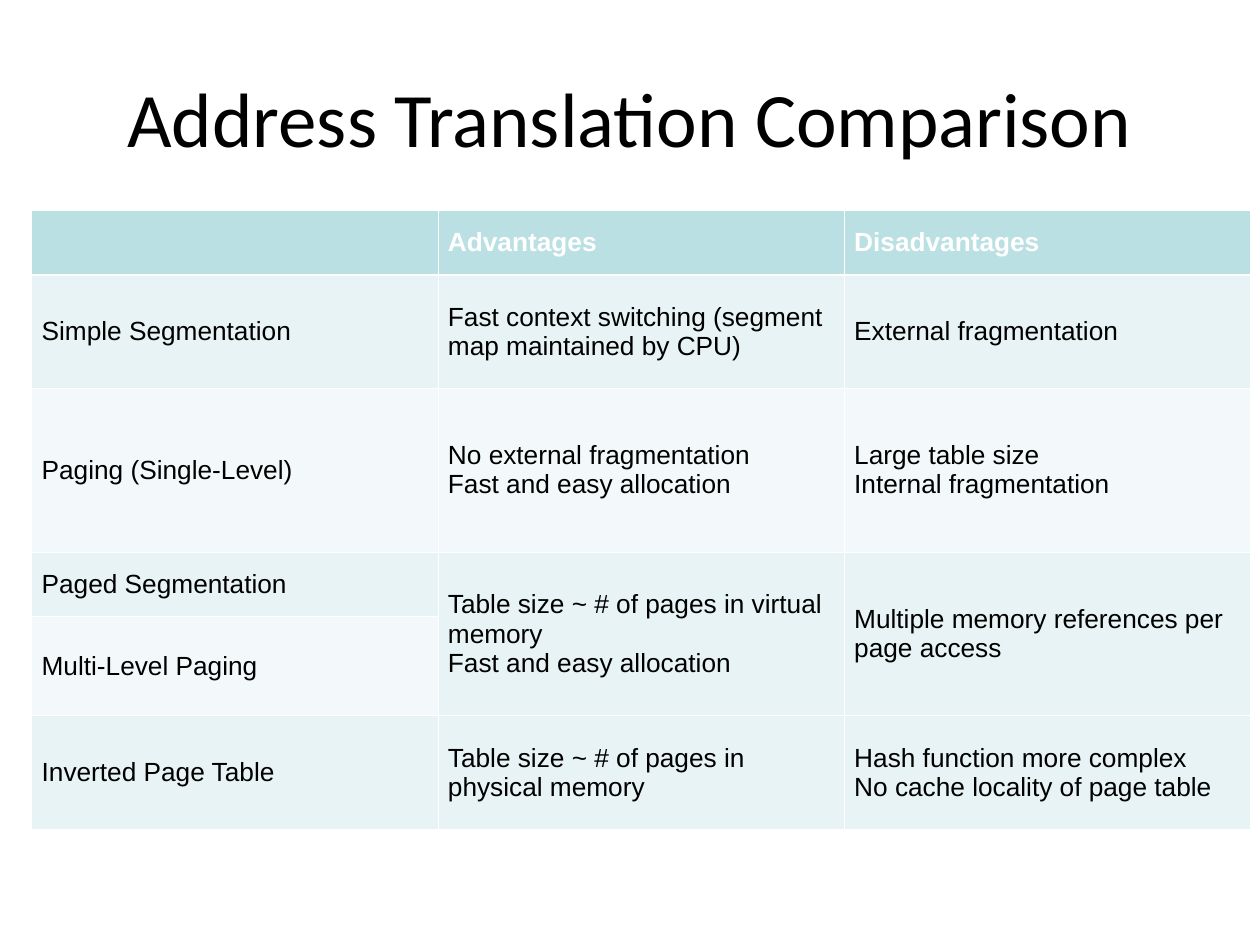
from dataclasses import dataclass

from lxml import etree
from pptx import Presentation
from pptx.dml.color import RGBColor
from pptx.enum.text import MSO_ANCHOR, PP_ALIGN
from pptx.oxml.ns import qn
from pptx.util import Cm, Pt

MIDDLE = MSO_ANCHOR.MIDDLE
CENTER = PP_ALIGN.CENTER


@dataclass(frozen=True)
class Theme:
    title_font: str = "Calibri"
    body_font: str = "Arial"
    title_size: float = 44
    body_size: float = 15
    text: str = "000000"
    white: str = "FFFFFF"
    header: str = "BBE0E3"
    bands: tuple[str, str] = ("E7F3F4", "F3F9FA")
    thin: float = 0.45
    thick: float = 1.47


@dataclass(frozen=True)
class Row:
    height: float
    texts: tuple[str, str, str]
    span: int = 1  # rows covered by the last two columns


THEME = Theme()
COLUMN_WIDTH = 8.19

# \n starts a paragraph, \v breaks a line
ROWS = [
    Row(1.3, ("", "Advantages", "Disadvantages")),
    Row(2.29, ("Simple Segmentation",
               "Fast context switching (segment map maintained by CPU)",
               "External fragmentation")),
    Row(3.3, ("Paging (Single-Level)",
              "No external fragmentation\nFast and easy allocation",
              "Large table size\nInternal fragmentation")),
    Row(1.3, ("Paged Segmentation",
              "Table size ~ # of pages in virtual memory\vFast and easy allocation",
              "Multiple memory references per page access"), span=2),
    Row(2.0, ("Multi-Level Paging", "", "")),
    Row(2.29, ("Inverted Page Table",
               "Table size ~ # of pages in physical memory",
               "Hash function more complex\nNo cache locality of page table")),
]


def format_text(tf, font: str, size: float, color: str, bold: bool = False) -> None:
    for p in tf.paragraphs:
        for r in p.runs:
            r.font.name = font
            r.font.size = Pt(size)
            r.font.bold = bold
            r.font.color.rgb = RGBColor.from_string(color)


def add_borders(cell, row: int) -> None:
    """Draw white cell edges, thick between the header and the body."""
    widths = {
        "a:lnL": THEME.thin,
        "a:lnR": THEME.thin,
        "a:lnT": THEME.thick if row == 1 else THEME.thin,
        "a:lnB": THEME.thick if row == 0 else THEME.thin,
    }
    tc_pr = cell._tc.get_or_add_tcPr()
    for tag, width in widths.items():
        ln = etree.SubElement(tc_pr, qn(tag), w=str(Pt(width)))
        fill = etree.SubElement(ln, qn("a:solidFill"))
        etree.SubElement(fill, qn("a:srgbClr"), val=THEME.white)


def format_cell(cell, row: int, text: str) -> None:
    is_header = row == 0
    add_borders(cell, row)
    cell.fill.solid()
    color = THEME.header if is_header else THEME.bands[(row - 1) % 2]
    cell.fill.fore_color.rgb = RGBColor.from_string(color)
    cell.vertical_anchor = MIDDLE
    cell.margin_left = cell.margin_right = Cm(0.2)
    cell.margin_top = cell.margin_bottom = Cm(0.13)
    cell.text_frame.text = text
    format_text(cell.text_frame, THEME.body_font, THEME.body_size,
                THEME.white if is_header else THEME.text, bold=is_header)


def add_title(s, text: str) -> None:
    title = s.shapes.title
    title.left, title.top = Cm(1.27), Cm(0.76)
    title.width, title.height = Cm(22.86), Cm(3.18)
    tf = title.text_frame
    tf.text = text
    tf.vertical_anchor = MIDDLE
    tf.paragraphs[0].alignment = CENTER
    format_text(tf, THEME.title_font, THEME.title_size, THEME.text)


def add_comparison(s, rows: list[Row]) -> None:
    columns = len(rows[0].texts)
    table = s.shapes.add_table(
        len(rows), columns, Cm(0.64), Cm(4.24),
        Cm(COLUMN_WIDTH * columns), Cm(sum(row.height for row in rows))).table
    for column in table.columns:
        column.width = Cm(COLUMN_WIDTH)
    for i, row in enumerate(rows):
        table.rows[i].height = Cm(row.height)
        for j, text in enumerate(row.texts):
            format_cell(table.cell(i, j), i, text)

    # Shared cells
    for i, row in enumerate(rows):
        if row.span > 1:
            for j in range(1, columns):
                table.cell(i, j).merge(table.cell(i + row.span - 1, j))


def main() -> None:
    prs = Presentation()
    prs.slide_width, prs.slide_height = Cm(25.4), Cm(19.05)
    s = prs.slides.add_slide(prs.slide_layouts[5])
    add_title(s, "Address Translation Comparison")
    add_comparison(s, ROWS)
    prs.save("out.pptx")


if __name__ == "__main__":
    main()
